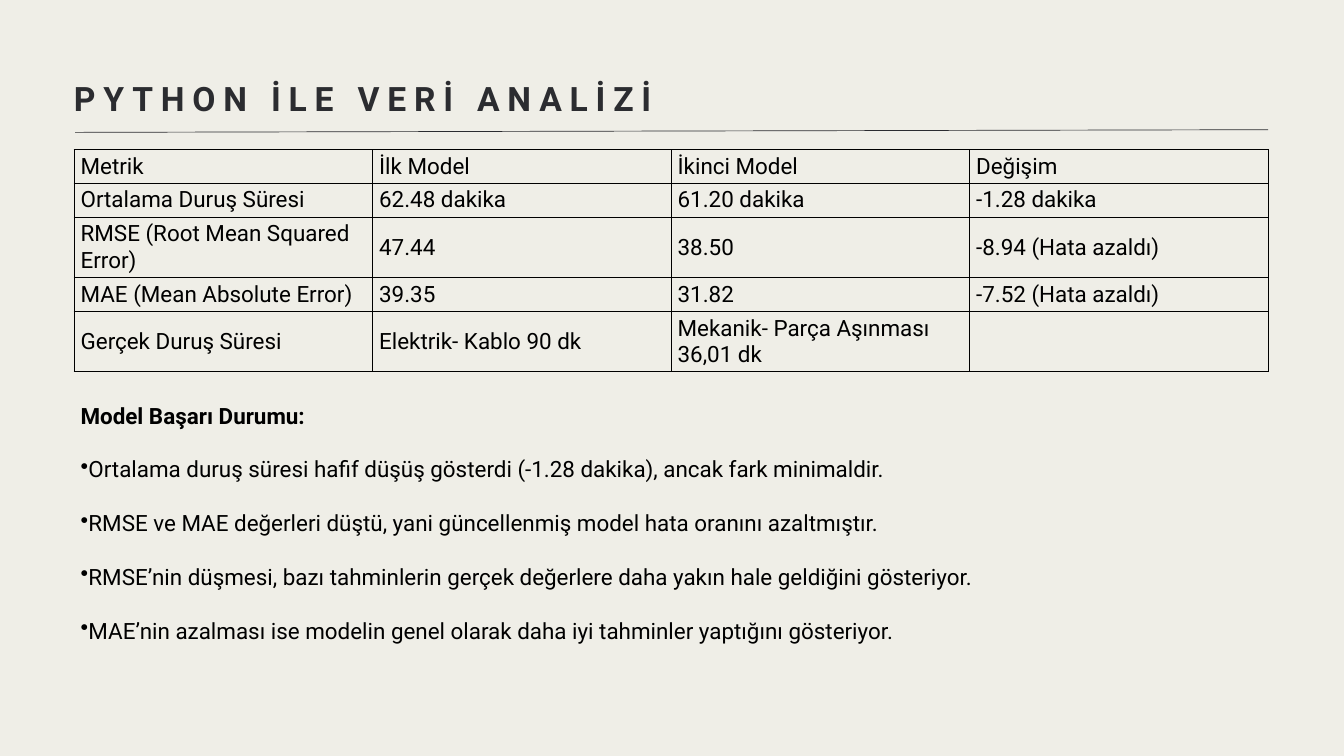
"""Build the slide that compares two Python models."""
from lxml import etree
from pptx import Presentation
from pptx.dml.color import RGBColor
from pptx.enum.shapes import MSO_CONNECTOR
from pptx.enum.text import MSO_ANCHOR, MSO_AUTO_SIZE, PP_ALIGN
from pptx.oxml.ns import qn
from pptx.util import Inches, Pt

STRAIGHT = MSO_CONNECTOR.STRAIGHT
TOP, MIDDLE = MSO_ANCHOR.TOP, MSO_ANCHOR.MIDDLE
GROW = MSO_AUTO_SIZE.SHAPE_TO_FIT_TEXT
LEFT_ALIGN = PP_ALIGN.LEFT

WIDTH, HEIGHT = 20, 11.25
MARGIN = 1.1
CONTENT_WIDTH = 17.77
TABLE_TOP = 2.23
ONE_LINE, TWO_LINES = 0.5, 0.9
FONT = "Roboto"
COLORS = {"background": "EFEEE7", "heading": "2B2C30", "text": "000000"}

TITLE = "PYTHON İLE VERİ ANALİZİ"
METRICS = [
    ("Metrik", "İlk Model", "İkinci Model", "Değişim"),
    ("Ortalama Duruş Süresi", "62.48 dakika", "61.20 dakika", "-1.28 dakika"),
    ("RMSE (Root Mean Squared Error)", "47.44", "38.50", "-8.94 (Hata azaldı)"),
    ("MAE (Mean Absolute Error)", "39.35", "31.82", "-7.52 (Hata azaldı)"),
    ("Gerçek Duruş Süresi", "Elektrik- Kablo 90 dk", "Mekanik- Parça Aşınması 36,01 dk", ""),
]
ROW_HEIGHTS = [ONE_LINE, ONE_LINE, TWO_LINES, ONE_LINE, TWO_LINES]
FINDINGS_HEADING = "Model Başarı Durumu:"
FINDINGS = [
    "Ortalama duruş süresi hafif düşüş gösterdi (-1.28 dakika), ancak fark minimaldir.",
    "RMSE ve MAE değerleri düştü, yani güncellenmiş model hata oranını azaltmıştır.",
    "RMSE’nin düşmesi, bazı tahminlerin gerçek değerlere daha yakın hale geldiğini gösteriyor.",
    "MAE’nin azalması ise modelin genel olarak daha iyi tahminler yaptığını gösteriyor.",
]


def color(name):
    """Return the named palette colour."""
    return RGBColor.from_string(COLORS[name])


def add_run(paragraph, text, size=24, bold=False, color_name="text"):
    """Append a formatted run to a paragraph."""
    run = paragraph.add_run()
    run.text = text
    run.font.name = FONT
    run.font.size = Pt(size)
    run.font.bold = bold
    run.font.color.rgb = color(color_name)
    return run


def set_title(slide):
    """Place and fill the title placeholder with letter-spaced text."""
    title = slide.shapes.title
    title.left, title.top = Inches(MARGIN), Inches(1.03)
    title.width, title.height = Inches(17.75), Inches(0.66)
    frame = title.text_frame
    frame.margin_left = frame.margin_right = frame.margin_top = frame.margin_bottom = 0
    frame.vertical_anchor = TOP
    frame.word_wrap = True
    frame.auto_size = GROW
    paragraph = frame.paragraphs[0]
    paragraph.alignment = LEFT_ALIGN
    paragraph.line_spacing = Pt(52)
    run = add_run(paragraph, TITLE, 36, True, "heading")
    run.font._element.set("spc", "840")


def add_rule(slide):
    """Draw the thin, slightly rising line under the title."""
    rule = slide.shapes.add_connector(
        STRAIGHT, Inches(1.12), Inches(1.97), Inches(18.87), Inches(1.93))
    rule.line.color.rgb = color("heading")
    rule.line.width = Pt(0.75)
    etree.SubElement(rule._element.spPr, qn("a:effectLst"))


def set_borders(cell):
    """Give all four sides of a cell a thin solid line."""
    properties = cell._tc.get_or_add_tcPr()
    for index, side in enumerate(("lnL", "lnR", "lnT", "lnB")):
        border = etree.Element(qn(f"a:{side}"), w=str(Pt(1)))
        fill = etree.SubElement(border, qn("a:solidFill"))
        etree.SubElement(fill, qn("a:srgbClr"), val=COLORS["text"])
        properties.insert(index, border)


def add_metrics_table(slide):
    """Add the table of metrics with equal columns."""
    table = slide.shapes.add_table(
        len(METRICS), len(METRICS[0]), Inches(MARGIN), Inches(TABLE_TOP),
        Inches(CONTENT_WIDTH), Inches(sum(ROW_HEIGHTS))).table
    table.first_row = table.horz_banding = False
    for row, height, texts in zip(table.rows, ROW_HEIGHTS, METRICS):
        row.height = Inches(height)
        for cell, text in zip(row.cells, texts):
            cell.fill.background()
            cell.vertical_anchor = MIDDLE
            set_borders(cell)
            if text:
                add_run(cell.text_frame.paragraphs[0], text)


def add_findings(slide):
    """Add the bold heading and the bulleted findings below the table."""
    top = TABLE_TOP + sum(ROW_HEIGHTS)
    box = slide.shapes.add_textbox(
        Inches(MARGIN), Inches(top), Inches(CONTENT_WIDTH), Inches(4.02))
    frame = box.text_frame
    frame.word_wrap = True
    frame.auto_size = GROW
    heading = frame.paragraphs[0]
    heading.line_spacing = 2.0
    add_run(heading, FINDINGS_HEADING, bold=True)
    for finding in FINDINGS:
        paragraph = frame.add_paragraph()
        paragraph.line_spacing = 2.0
        properties = paragraph._p.get_or_add_pPr()
        etree.SubElement(properties, qn("a:buChar"), char="•")
        add_run(paragraph, finding)


def main():
    """Build and save the presentation."""
    presentation = Presentation()
    presentation.slide_width = Inches(WIDTH)
    presentation.slide_height = Inches(HEIGHT)
    slide = presentation.slides.add_slide(presentation.slide_layouts.get_by_name("Title Only"))
    slide.background.fill.solid()
    slide.background.fill.fore_color.rgb = color("background")
    set_title(slide)
    add_rule(slide)
    add_metrics_table(slide)
    add_findings(slide)
    presentation.save("out.pptx")


if __name__ == "__main__":
    main()
